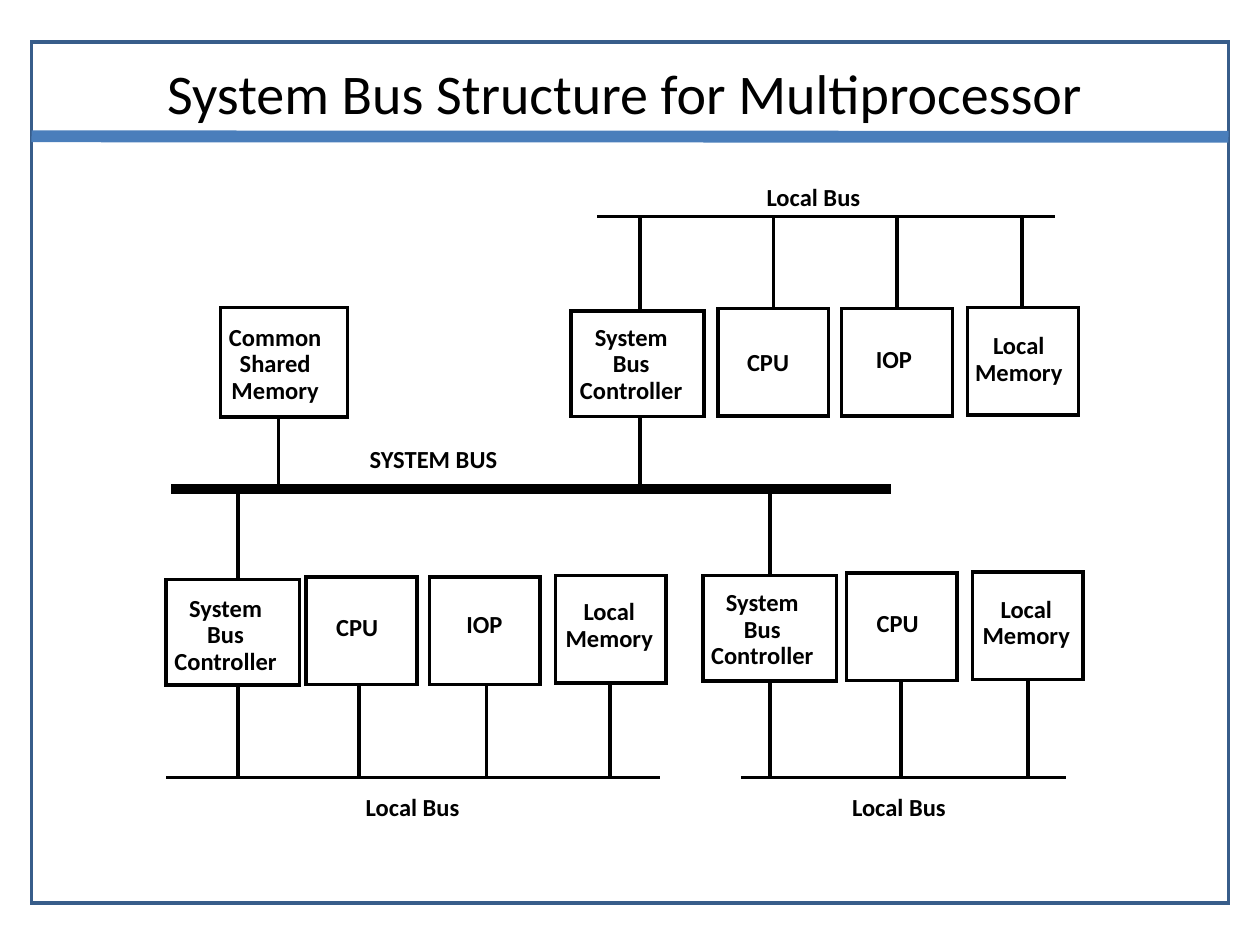
from dataclasses import dataclass

from lxml import etree
from pptx import Presentation
from pptx.dml.color import RGBColor
from pptx.enum.shapes import MSO_CONNECTOR, MSO_SHAPE
from pptx.enum.text import MSO_AUTO_SIZE, PP_ALIGN
from pptx.oxml.ns import qn
from pptx.util import Pt

STRAIGHT = MSO_CONNECTOR.STRAIGHT
RECT = MSO_SHAPE.RECTANGLE
FIT = MSO_AUTO_SIZE.SHAPE_TO_FIT_TEXT
CENTER = PP_ALIGN.CENTER
BLACK = RGBColor(0x00, 0x00, 0x00)
FRAME_BLUE = RGBColor(0x38, 0x5D, 0x8A)
RULE_BLUE = RGBColor(0x4A, 0x7E, 0xBB)
FONT = "Calibri"


@dataclass(frozen=True)
class Kind:
    text: str
    box_w: float
    box_h: float
    label_w: float
    label_h: float


@dataclass(frozen=True)
class Unit:
    kind: Kind
    left: float
    top: float
    label_left: float
    label_top: float
    stub_x: float


@dataclass(frozen=True)
class Cluster:
    bus_left: float
    bus_right: float
    bus_y: float
    label_left: float
    label_top: float
    units: tuple[Unit, ...]


SHARED = Kind("Common\nShared\nMemory", 72.7, 62.6, 67, 52.6)
SBC = Kind("System\nBus\nController", 76.2, 60.2, 73.4, 52.6)
CPU = Kind("CPU", 63.2, 61.4, 38.2, 22.3)
IOP = Kind("IOP", 63.2, 61.4, 35.3, 22.3)
MEMORY = Kind("Local\nMemory", 63.2, 61.4, 64.1, 37.4)

SHARED_MEMORY = Unit(SHARED, 126, 175.7, 123.8, 182.2, 159.1)
CLUSTERS = (
    Cluster(341.3, 602.6, 123.8, 430.6, 102.2, (
        Unit(SBC, 326.2, 177.8, 324, 182.2, 365.8),
        Unit(CPU, 410.4, 176.4, 419.8, 196.6, 442.1),
        Unit(IOP, 481, 176.4, 493.2, 195.1, 512.6),
        Unit(MEMORY, 553, 175.7, 550.1, 187.2, 583.9))),
    Cluster(95, 377.3, 444.2, 201.6, 450.7, (
        Unit(SBC, 95, 331.2, 92.2, 337, 136.1),
        Unit(CPU, 175, 329.8, 185, 347.8, 205.2),
        Unit(IOP, 245.5, 329.8, 259.2, 346.3, 277.9),
        Unit(MEMORY, 317.5, 329, 316.1, 339.1, 348.5))),
    Cluster(423.4, 609.1, 444.2, 479.5, 450.7, (
        Unit(SBC, 401.8, 329, 398.9, 334.1, 439.9),
        Unit(CPU, 483.8, 327.6, 493.9, 345.6, 514.8),
        Unit(MEMORY, 555.8, 326.9, 554.4, 337.7, 587.5))),
)
SYSTEM_BUS_Y = 279.4


def add_line(shapes, x1: float, y1: float, x2: float, y2: float,
             width: float = 2, color: RGBColor = BLACK) -> None:
    line = shapes.add_connector(STRAIGHT, Pt(x1), Pt(y1), Pt(x2), Pt(y2))
    line.line.width = Pt(width)
    line.line.color.rgb = color
    etree.SubElement(line._element.spPr, qn("a:effectLst"))


def add_box(shapes, left: float, top: float, width: float, height: float,
            color: RGBColor = BLACK) -> None:
    """Draw an unfilled rectangle with sharp corners."""
    sp = shapes.add_shape(RECT, Pt(left), Pt(top), Pt(width), Pt(height))
    sp.shadow.inherit = False
    sp.fill.background()
    sp.line.width = Pt(2)
    sp.line.color.rgb = color
    outline = sp._element.spPr.find(qn("a:ln"))
    etree.SubElement(outline, qn("a:miter"), lim="800000")


def add_text(shapes, text: str, left: float, top: float, width: float,
             height: float = 22.3, size: float = 14, bold: bool = True,
             spacing: float = 0.9, wrap: bool = False) -> None:
    sp = shapes.add_textbox(Pt(left), Pt(top), Pt(width), Pt(height))
    tf = sp.text_frame
    tf.text = text
    tf.word_wrap = wrap
    tf.auto_size = FIT
    tf.margin_left = tf.margin_right = Pt(6)
    for p in tf.paragraphs:
        p.alignment = CENTER
        p.line_spacing = spacing
        for r in p.runs:
            r.font.name = FONT
            r.font.size = Pt(size)
            r.font.bold = bold
            r.font.color.rgb = BLACK


def add_unit(shapes, unit: Unit, bus_y: float) -> None:
    """Draw a labelled box and its stub to the bus above or below it."""
    kind = unit.kind
    bottom = unit.top + kind.box_h
    edge = unit.top if bus_y < unit.top else bottom
    add_box(shapes, unit.left, unit.top, kind.box_w, kind.box_h)
    add_line(shapes, unit.stub_x, edge, unit.stub_x, bus_y)
    add_text(shapes, kind.text, unit.label_left, unit.label_top,
             kind.label_w, kind.label_h)


def add_cluster(shapes, cluster: Cluster) -> None:
    """Draw a local bus with its units and the link to the system bus."""
    y = cluster.bus_y
    add_line(shapes, cluster.bus_left, y, cluster.bus_right, y)
    add_text(shapes, "Local Bus", cluster.label_left, cluster.label_top, 68.4)
    for unit in cluster.units:
        add_unit(shapes, unit, y)
    controller = cluster.units[0]
    edge = controller.top
    if edge < SYSTEM_BUS_Y:
        edge += controller.kind.box_h
    add_line(shapes, controller.stub_x, edge, controller.stub_x, SYSTEM_BUS_Y)


def main() -> None:
    prs = Presentation()
    prs.slide_width, prs.slide_height = Pt(720), Pt(540)
    shapes = prs.slides.add_slide(prs.slide_layouts[6]).shapes

    add_box(shapes, 18, 24, 684, 492, FRAME_BLUE)
    add_line(shapes, 18, 77.9, 702, 78.2, 6.75, RULE_BLUE)
    add_text(shapes, "System Bus Structure for Multiprocessor", 54, 30.2,
             606.2, 46.1, size=32, bold=False, spacing=1.0, wrap=True)

    add_line(shapes, 98, SYSTEM_BUS_Y, 509, SYSTEM_BUS_Y, 6)
    add_text(shapes, "SYSTEM BUS", 203.8, 252, 87.8)
    add_unit(shapes, SHARED_MEMORY, SYSTEM_BUS_Y)
    for cluster in CLUSTERS:
        add_cluster(shapes, cluster)

    prs.save("out.pptx")


if __name__ == "__main__":
    main()
